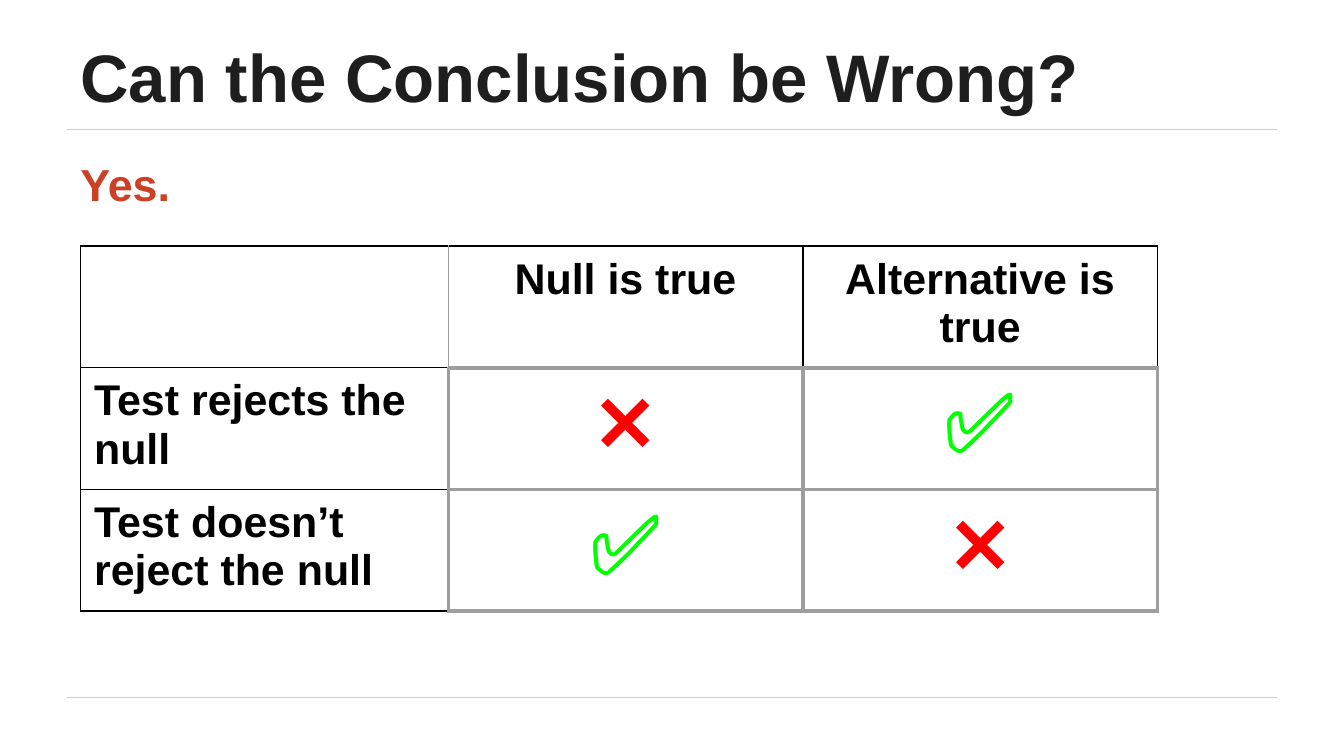
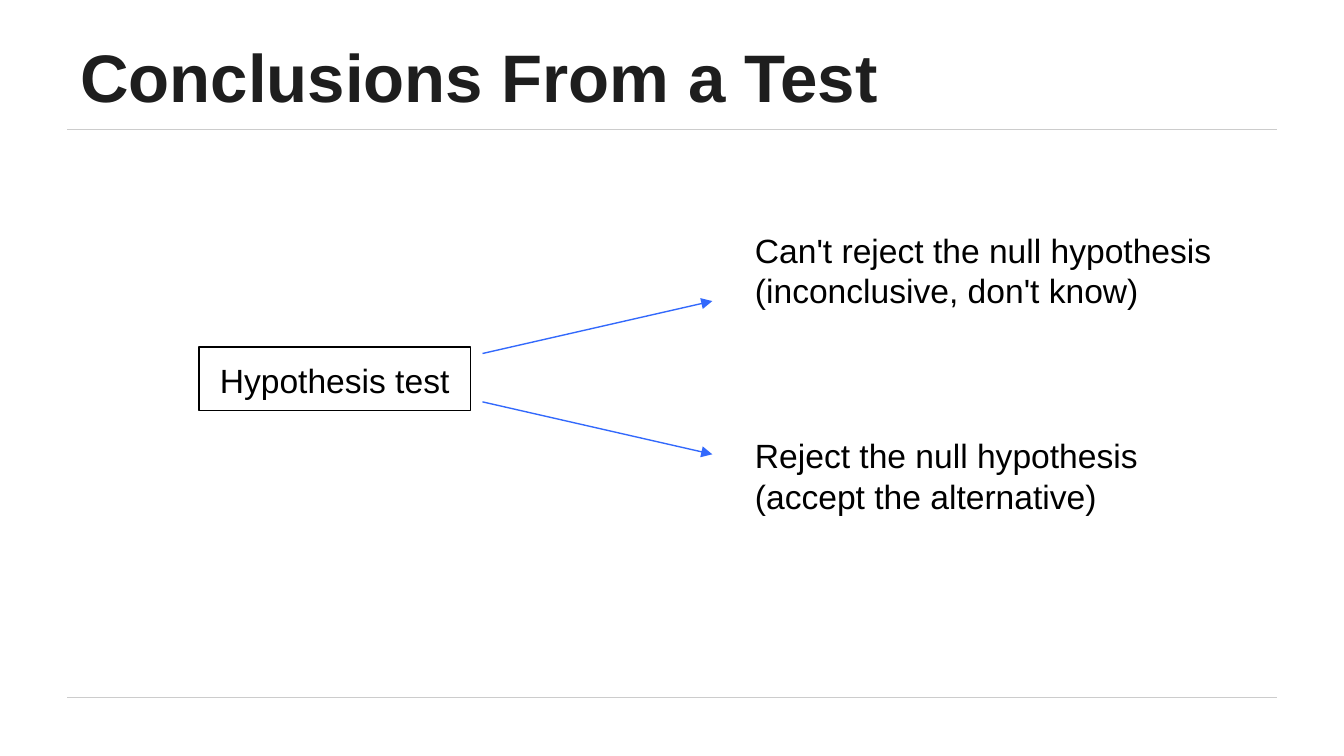
from lxml import etree
from pptx import Presentation
from pptx import util as u
from pptx.dml import color
from pptx.enum import shapes, text
from pptx.oxml import ns

BLACK, INK, RED, GREEN = "000000", "1E1E1E", "FF0000", "00FF00"
RULE, GRID, ACCENT, ARROW = "CCCCCC", "9E9E9E", "CC4125", "3369FC"
LEFT, CENTER = text.PP_ALIGN.LEFT, text.PP_ALIGN.CENTER
TOP, BOTTOM = text.MSO_ANCHOR.TOP, text.MSO_ANCHOR.BOTTOM
CROSS, CHECK = "\u274c", "\u2705"
SYMBOL_COLORS = {CROSS: RED, CHECK: GREEN}


def rgb(value):
    return color.RGBColor.from_string(value)


class Deck:
    """Holds the shared style and the current slide, and draws on it."""

    font = "Arial"
    inset = 7.2

    def __init__(self):
        self.presentation = Presentation()
        self.presentation.slide_width = u.Pt(720)
        self.presentation.slide_height = u.Pt(405)
        self.slide = None

    def add_slide(self, title, title_width):
        self.slide = self.presentation.slides.add_slide(self.presentation.slide_layouts[6])
        for y in (69.3, 373.6):
            self.line((36, y), (684, y), RULE)
        self.text_box((36, 16.4, title_width, 53), title, 36, INK, bold=True, anchor=BOTTOM)

    def set_text(self, frame, content, size, ink, bold=False, align=LEFT, space_before=0):
        paragraph = frame.paragraphs[0]
        paragraph.text = content
        paragraph.alignment = align
        paragraph.space_before = u.Pt(space_before)
        font = paragraph.font
        font.name, font.size, font.bold = self.font, u.Pt(size), bold
        font.color.rgb = rgb(ink)

    def fit(self, frame, anchor):
        frame.word_wrap = True
        frame.vertical_anchor = anchor
        frame.margin_left = frame.margin_right = u.Pt(self.inset)
        frame.margin_top = frame.margin_bottom = u.Pt(self.inset)

    def text_box(self, box, content, size, ink, anchor=TOP, **style):
        shape = self.slide.shapes.add_textbox(*map(u.Pt, box))
        self.fit(shape.text_frame, anchor)
        self.set_text(shape.text_frame, content, size, ink, **style)

    def outlined_box(self, box, content, size):
        shape = self.slide.shapes.add_shape(shapes.MSO_SHAPE.RECTANGLE, *map(u.Pt, box))
        shape.shadow.inherit = False
        shape.fill.background()
        shape.line.color.rgb = rgb(BLACK)
        shape.line.width = u.Pt(0.75)
        self.fit(shape.text_frame, TOP)
        self.set_text(shape.text_frame, content, size, BLACK, align=CENTER)

    def line(self, start, end, ink, arrow=False):
        connector = self.slide.shapes.add_connector(
            shapes.MSO_CONNECTOR.STRAIGHT, *map(u.Pt, start + end))
        connector.line.color.rgb = rgb(ink)
        connector.line.width = u.Pt(0.75)
        properties = connector._element.spPr
        if arrow:
            etree.SubElement(properties.find(ns.qn("a:ln")), ns.qn("a:tailEnd"), type="triangle")
        etree.SubElement(properties, ns.qn("a:effectLst"))

    def border(self, cell, index, side, ink, width):
        edge = etree.Element(ns.qn("a:ln" + side), w=str(u.Pt(width)))
        fill = etree.SubElement(edge, ns.qn("a:solidFill"))
        etree.SubElement(fill, ns.qn("a:srgbClr"), val=ink)
        cell._tc.get_or_add_tcPr().insert(index, edge)

    def borders(self, cell, row, column):
        neighbours = {"L": (row, column - 1), "R": (row, column + 1),
                      "T": (row - 1, column), "B": (row + 1, column)}
        for index, (side, neighbour) in enumerate(neighbours.items()):
            pair = {(row, column), neighbour}
            if any(1 <= r <= 2 and 1 <= c <= 2 for r, c in pair):
                ink, width = GRID, 2.25
            elif pair == {(0, 0), (0, 1)}:
                ink, width = GRID, 0.75
            else:
                ink, width = BLACK, 1
            self.border(cell, index, side, ink, width)

    def table(self, left, top, widths, row_height, rows):
        table = self.slide.shapes.add_table(
            len(rows), len(widths), u.Pt(left), u.Pt(top),
            u.Pt(sum(widths)), u.Pt(row_height * len(rows))).table
        table.first_row = table.horz_banding = False
        for column, width in zip(table.columns, widths):
            column.width = u.Pt(width)
        for r, values in enumerate(rows):
            for c, value in enumerate(values):
                cell = table.cell(r, c)
                cell.fill.background()
                cell.margin_left = cell.margin_right = u.Pt(self.inset)
                cell.margin_top = cell.margin_bottom = u.Pt(5)
                symbol = value in SYMBOL_COLORS
                self.set_text(cell.text_frame, value, 45 if symbol else 23,
                              SYMBOL_COLORS.get(value, BLACK), bold=not symbol,
                              align=CENTER if c else LEFT)
                self.borders(cell, r, c)


deck = Deck()

deck.add_slide("Can the Conclusion be Wrong?", 610)
deck.text_box((36, 77, 648, 46), "Yes.", 24, ACCENT, bold=True, space_before=4.8)
deck.table(43.2, 131.8, (197, 190, 190), 62.4, (
    ("", "Null is true", "Alternative is true"),
    ("Test rejects the null", CROSS, CHECK),
    ("Test doesn\u2019t reject the null", CHECK, CROSS)))

deck.add_slide("Conclusions From a Test", 528)
deck.outlined_box((106.6, 185.8, 145.4, 34.2), "Hypothesis test", 18)
outcomes = (
    (116, 189.4, 161.3, "Can't reject the null hypothesis\v(inconclusive, don't know)"),
    (226, 215.3, 243.4, "Reject the null hypothesis\v(accept the alternative)"))
for top, arrow_start, arrow_end, outcome in outcomes:
    deck.text_box((397.4, top, 271, 61), outcome, 18, BLACK)
    deck.line((258.5, arrow_start), (381.6, arrow_end), ARROW, arrow=True)

deck.presentation.save("out.pptx")
